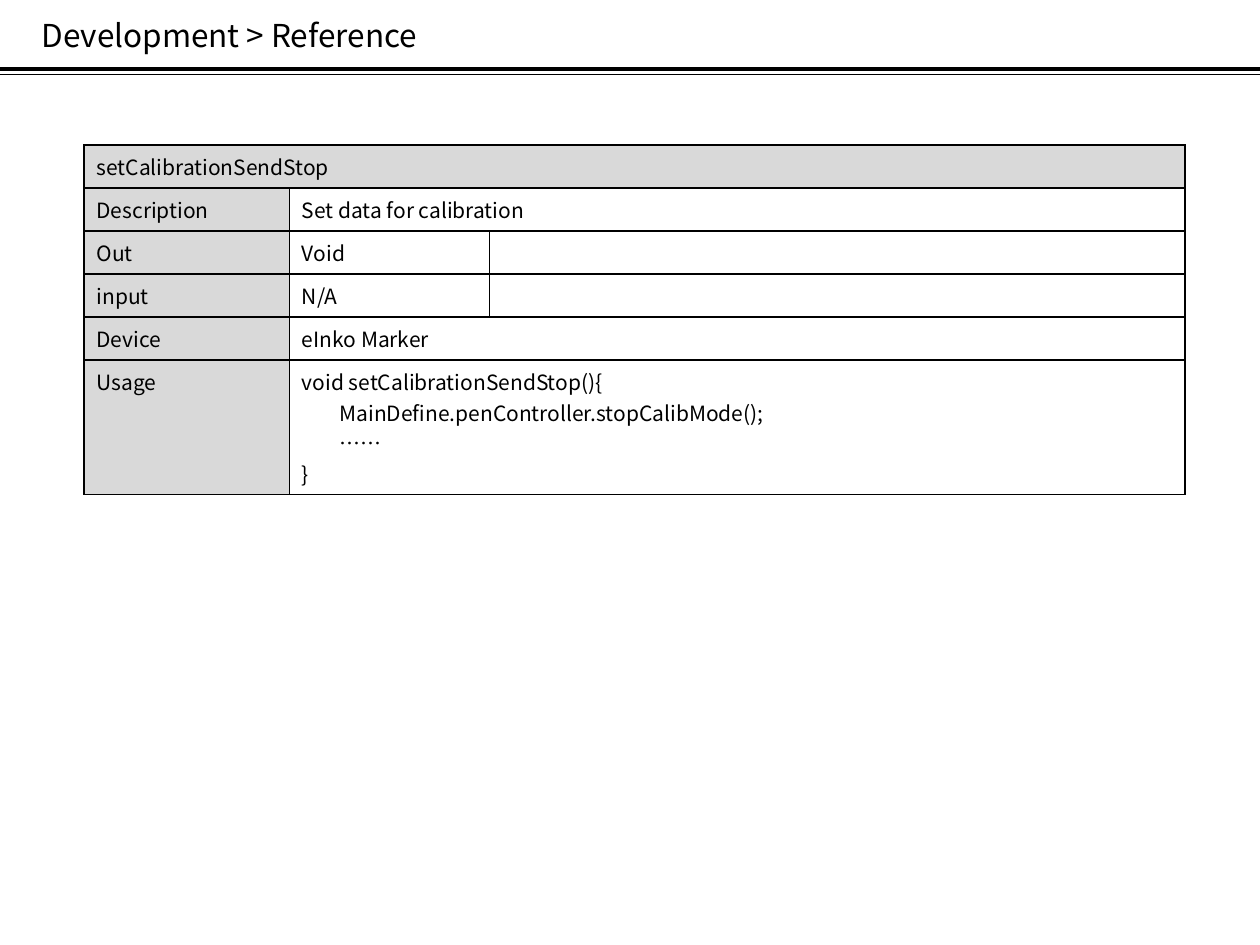
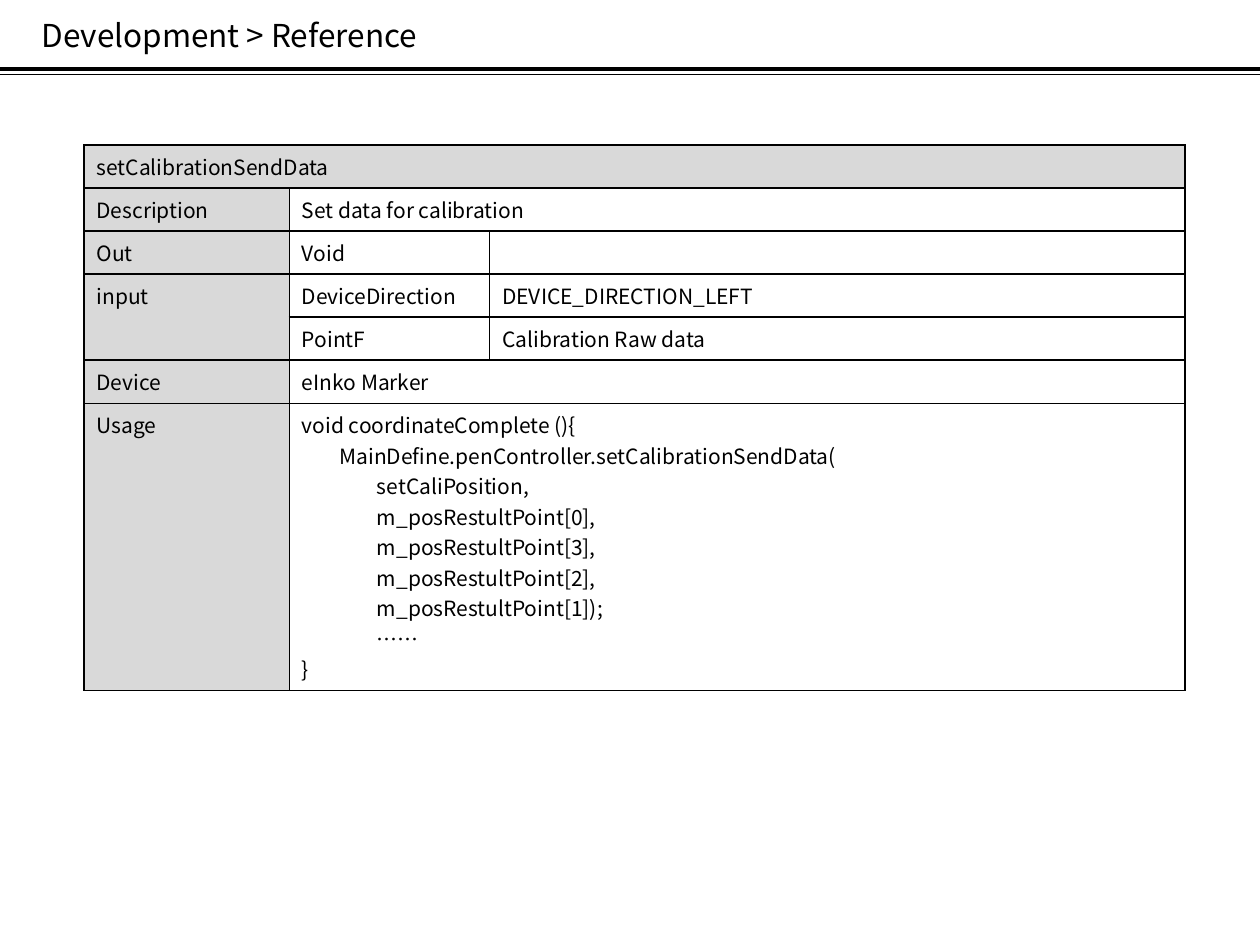
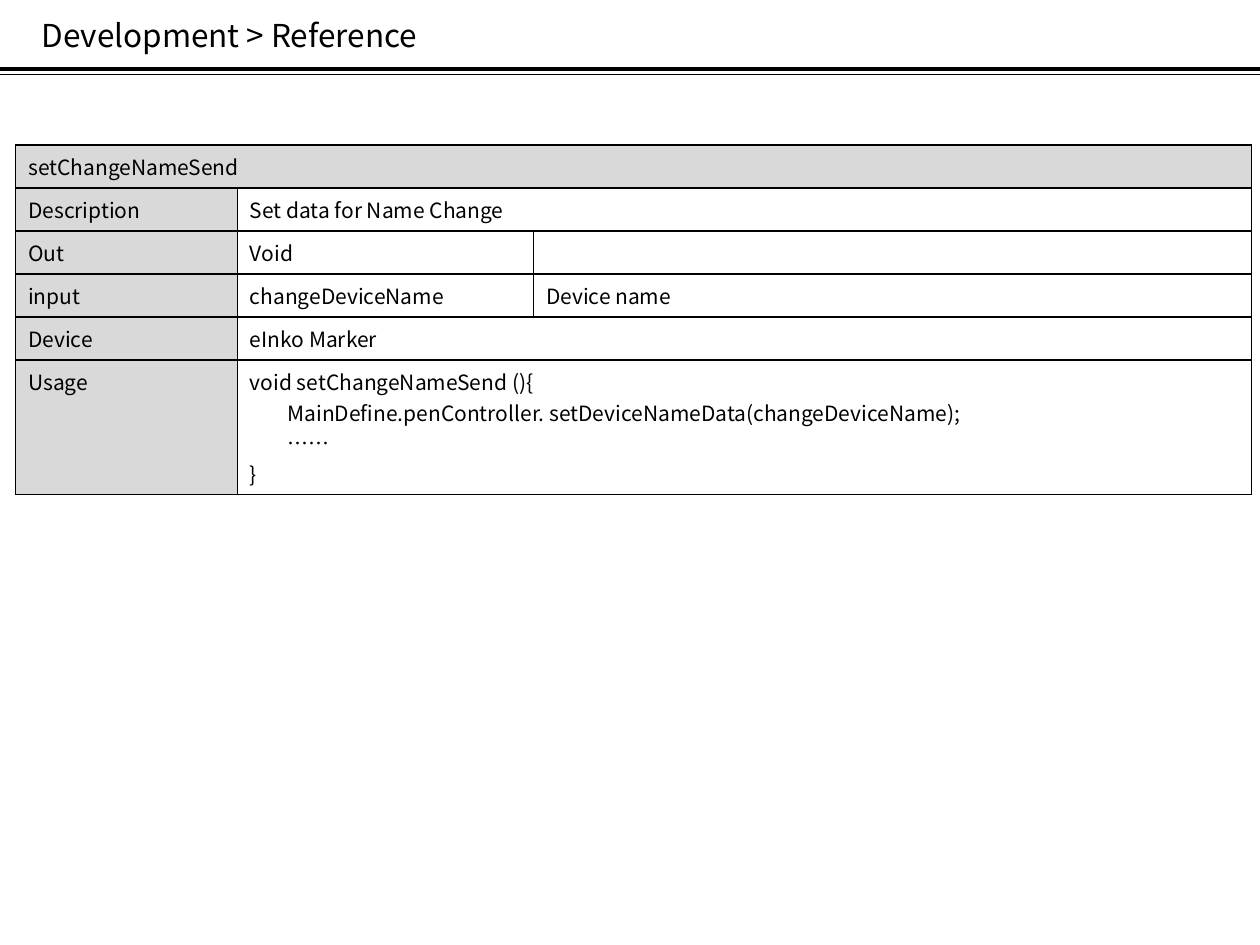
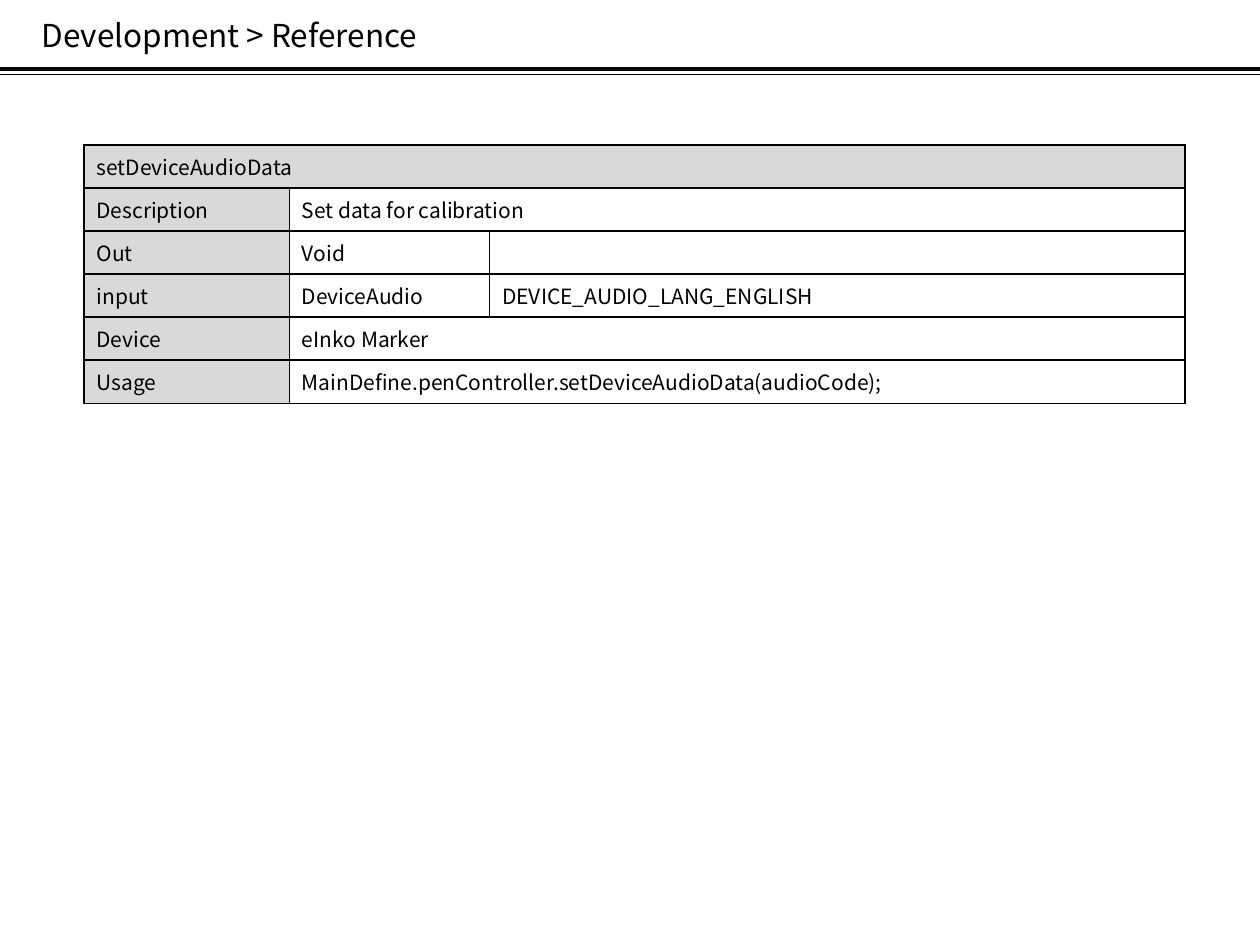
import pptx
import pptx.util
import pptx.dml.color
import pptx.enum.shapes
import pptx.enum.text
import pptx.oxml
import pptx.oxml.ns
import pptx.text.text

# Content: one dict per function of the reference
HEADING = "Development > Reference"
DEVICE = "eInko Marker"

REFERENCE = [
    {
        "name": "setCalibrationSendStop",
        "description": "Set data for calibration",
        "inputs": [("N/A", "")],
        "usage": [
            "void setCalibrationSendStop(){",
            "        MainDefine.penController.stopCalibMode();",
            "        ……",
            "}",
        ],
    },
    {
        "name": "setCalibrationSendData",
        "description": "Set data for calibration",
        "inputs": [
            ("DeviceDirection", "DEVICE_DIRECTION_LEFT"),
            ("PointF", "Calibration Raw data"),
        ],
        "usage": [
            "void coordinateComplete (){",
            "        MainDefine.penController.setCalibrationSendData(",
            "                setCaliPosition,",
            "                m_posRestultPoint[0],",
            "                m_posRestultPoint[3],",
            "                m_posRestultPoint[2],",
            "                m_posRestultPoint[1]);",
            "                ……",
            "}",
        ],
    },
    {
        "name": "setChangeNameSend",
        "description": "Set data for Name Change",
        "inputs": [("changeDeviceName", "Device name")],
        "usage": [
            "void setChangeNameSend (){",
            "        MainDefine.penController. setDeviceNameData(changeDeviceName);",
            "        ……",
            "}",
        ],
        "left": 124,
        "columns": (1760, 2350, 5700),
    },
    {
        "name": "setDeviceAudioData",
        "description": "Set data for calibration",
        "inputs": [("DeviceAudio", "DEVICE_AUDIO_LANG_ENGLISH")],
        "usage": ["MainDefine.penController.setDeviceAudioData(audioCode);"],
    },
]

# Shared look: lengths in px, 1000 px to the inch
PX_PER_INCH = 1000
SLIDE_WIDTH, SLIDE_HEIGHT = 10000, 7500
HEADING_BOX = {"left": 230, "top": 80, "width": 7130, "height": 400}
HEADER_RULES = [(550, 2.25), (590, 0.25)]  # height on the slide, weight in pt
TABLE_LEFT, TABLE_TOP = 666, 1150
COLUMNS = (1630, 1590, 5520)
ROW_HEIGHT, EXTRA_LINE = 342, 242

BLACK = pptx.dml.color.RGBColor(0x00, 0x00, 0x00)
LABEL_GRAY = pptx.dml.color.RGBColor(0xD9, 0xD9, 0xD9)
FONT = "Noto Sans CJK KR"
HEADING_FORMAT = {"name": FONT, "size": pptx.util.Pt(18), "bold": False}
CELL_FORMAT = {"name": FONT, "size": pptx.util.Pt(12), "bold": False}
BORDER = (
    '<a:{side} {ns} w="12700"><a:solidFill><a:srgbClr val="{color}"/>'
    "</a:solidFill></a:{side}>"
)


def px(length):
    return pptx.util.Inches(length / PX_PER_INCH)


def format_characters(properties, font_format):
    """Apply the font to Latin and East Asian text alike."""
    font = pptx.text.text.Font(properties)
    for attribute, value in font_format.items():
        setattr(font, attribute, value)
    font.fill.solid()
    font.fill.fore_color.rgb = BLACK
    east_asian = properties.makeelement(pptx.oxml.ns.qn("a:ea"), {"typeface": FONT})
    properties.append(east_asian)


def write(text_frame, lines, font_format):
    for number, line in enumerate(lines):
        paragraph = text_frame.add_paragraph() if number else text_frame.paragraphs[0]
        if line:
            run = paragraph.add_run()
            run.text = line
            format_characters(run.font._element, font_format)
        else:
            format_characters(paragraph._p.get_or_add_endParaRPr(), font_format)


def add_header_rules(slide, master):
    """Draw the double rule and place it on the master for every slide."""
    for number, (top, weight) in enumerate(HEADER_RULES):
        rule = slide.shapes.add_connector(
            pptx.enum.shapes.MSO_CONNECTOR.STRAIGHT,
            px(0), px(top), px(SLIDE_WIDTH), px(top))
        rule.line.color.rgb = BLACK
        rule.line.width = pptx.util.Pt(weight)
        element = rule.element
        element.spPr.append(element.makeelement(pptx.oxml.ns.qn("a:effectLst")))
        element.nvCxnSpPr.cNvPr.set("id", str(100 + number))
        master.shapes.element.append(element)


def add_heading(slide):
    heading = slide.shapes.title
    for attribute, length in HEADING_BOX.items():
        setattr(heading, attribute, px(length))
    frame = heading.text_frame
    frame.word_wrap = True
    frame.auto_size = pptx.enum.text.MSO_AUTO_SIZE.SHAPE_TO_FIT_TEXT
    frame.vertical_anchor = pptx.enum.text.MSO_ANCHOR.TOP
    write(frame, [HEADING], HEADING_FORMAT)
    frame.paragraphs[0].alignment = pptx.enum.text.PP_ALIGN.LEFT


def format_cell(cell, is_label):
    properties = cell._tc.get_or_add_tcPr()
    for side in ("lnL", "lnR", "lnT", "lnB"):
        properties.append(pptx.oxml.parse_xml(BORDER.format(
            side=side, ns=pptx.oxml.ns.nsdecls("a"), color=BLACK)))
    if is_label:
        cell.fill.solid()
        cell.fill.fore_color.rgb = LABEL_GRAY
    else:
        cell.fill.background()


def table_rows(function):
    """Rows of cells, each a list of lines; None continues the cell on its left."""
    inputs = [
        [["" if number else "input"], [kind], [meaning]]
        for number, (kind, meaning) in enumerate(function["inputs"])
    ]
    return [
        [[function["name"]], None, None],
        [["Description"], [function["description"]], None],
        [["Out"], ["Void"], [""]],
        *inputs,
        [["Device"], [DEVICE], None],
        [["Usage"], function["usage"], None],
    ]


def add_function_table(slide, function):
    columns = function.get("columns", COLUMNS)
    rows = table_rows(function)
    heights = [
        ROW_HEIGHT + EXTRA_LINE * (max(len(lines or [""]) for lines in row) - 1)
        for row in rows
    ]
    table = slide.shapes.add_table(
        len(rows), len(columns),
        px(function.get("left", TABLE_LEFT)), px(TABLE_TOP),
        px(sum(columns)), px(sum(heights))).table
    table.first_row = table.horz_banding = False
    for column, width in zip(table.columns, columns):
        column.width = px(width)

    for r, (row, height) in enumerate(zip(rows, heights)):
        table.rows[r].height = px(height)
        for c, lines in enumerate(row):
            cell = table.cell(r, c)
            format_cell(cell, is_label=r == 0 or c == 0)
            write(cell.text_frame, lines or [""], CELL_FORMAT)
        if None in row:
            table.cell(r, row.index(None) - 1).merge(table.cell(r, len(row) - 1))

    # One label for all inputs
    first_input, input_count = 3, len(function["inputs"])
    if input_count > 1:
        table.cell(first_input, 0).merge(table.cell(first_input + input_count - 1, 0))


def main():
    deck = pptx.Presentation()
    deck.slide_width, deck.slide_height = px(SLIDE_WIDTH), px(SLIDE_HEIGHT)
    title_only = deck.slide_layouts[5]
    for number, function in enumerate(REFERENCE):
        slide = deck.slides.add_slide(title_only)
        if number == 0:
            add_header_rules(slide, deck.slide_master)
        add_heading(slide)
        add_function_table(slide, function)
    deck.save("out.pptx")


if __name__ == "__main__":
    main()
